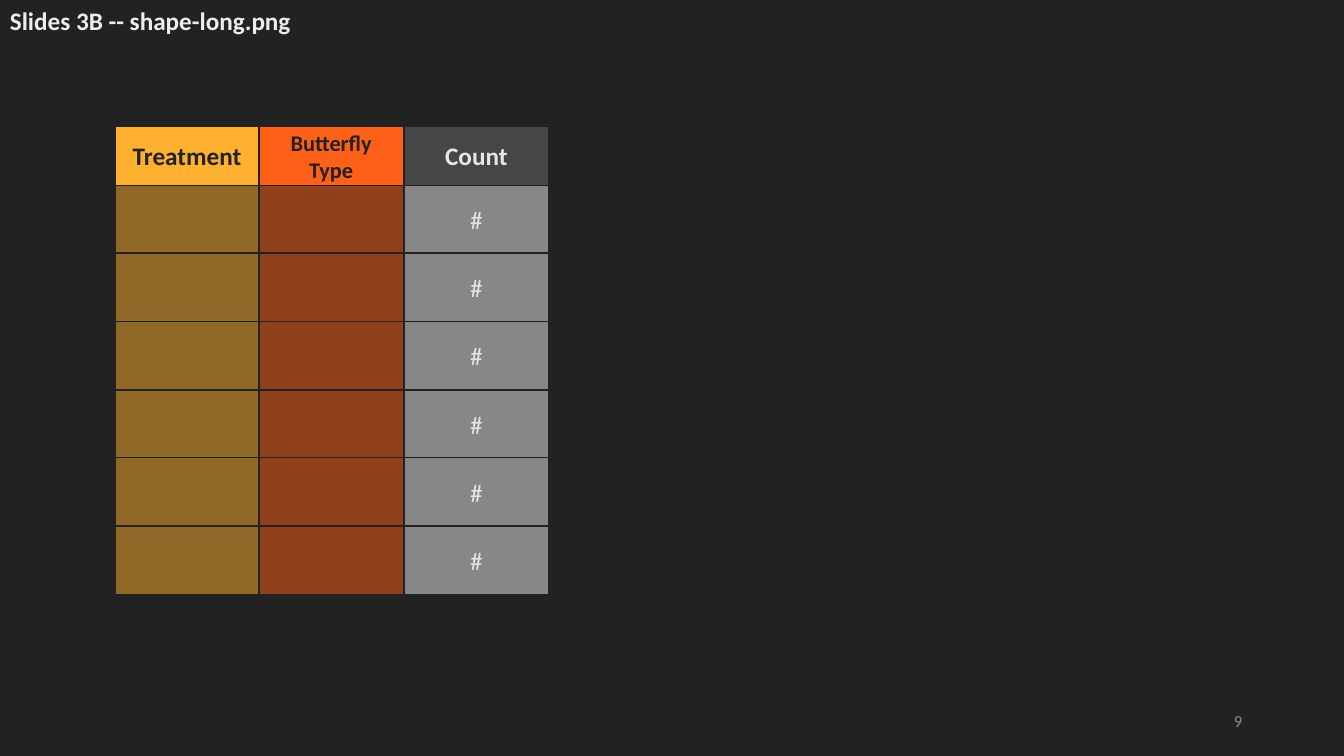
from lxml import etree
from pptx import Presentation
from pptx import util as u
from pptx.dml.color import RGBColor
from pptx.enum import shapes, text
from pptx.oxml.ns import qn

PX = 9144  # EMU per px, 100 px to the inch
FONT = "Calibri"
COLORS = {
    "dark": "222222",
    "title": "EBEEEE",
    "number": "8C8C8C",
    "amber": "FFB02F",
    "orange": "FF6018",
    "gray": "464646",
    "pale": "EBEEEE",
    "light": "E6E6E6",
}

# Grid of the table
LEFT, TOP, COL_W = 114, 125, 143
HEAD_H, ROW_H = 59, 68
ROWS, ROWS_H = 6, 406

# Heading, size, text colour, heading fill, cell fill, cell text
COLUMNS = [
    ("Treatment", 18, "dark", "amber", "amber", ""),
    ("Butterfly Type", 16, "dark", "orange", "orange", ""),
    ("Count", 18, "light", "gray", "pale", "#"),
]


def rgb(name):
    return RGBColor.from_string(COLORS[name])


def box(px):
    return [u.Emu(v * PX) for v in px]


def set_text(tf, words, size, color, bold=False, align=None):
    tf.word_wrap = True
    tf.text = words
    p = tf.paragraphs[0]
    p.alignment = align
    for r in p.runs:
        r.font.name = FONT
        r.font.size = u.Pt(size)
        r.font.bold = bold
        r.font.color.rgb = rgb(color)


def add_label(s, px, words, size, color, **style):
    tf = s.shapes.add_textbox(*box(px)).text_frame
    set_text(tf, words, size, color, **style)
    return tf


def add_cell(group, px, fill, words="", size=18, color="light",
             bold=False, alpha=None):
    sp = group.shapes.add_shape(shapes.MSO_SHAPE.RECTANGLE, *box(px))
    sp.shadow.inherit = False
    sp.fill.solid()
    sp.fill.fore_color.rgb = rgb(fill)
    if alpha is not None:
        clr = sp.fill._xPr.find(qn("a:solidFill"))[0]
        etree.SubElement(clr, qn("a:alpha"), val=str(alpha * 1000))
    sp.line.color.rgb = rgb("dark")
    sp.line.width = u.Pt(1)
    if words:
        tf = sp.text_frame
        tf.vertical_anchor = text.MSO_ANCHOR.MIDDLE
        set_text(tf, words, size, color, bold, text.PP_ALIGN.CENTER)


def add_column(s, index, heading, size, color, head_fill, cell_fill, words):
    group = s.shapes.add_group_shape()
    x = LEFT + index * 287 // 2
    add_cell(group, (x, TOP, COL_W, HEAD_H), head_fill, heading, size, color,
             bold=True)
    for row in range(ROWS):
        y = TOP + HEAD_H + row * ROWS_H // ROWS
        add_cell(group, (x, y, COL_W, ROW_H), cell_fill, words, alpha=50)


def main():
    prs = Presentation()
    prs.slide_width, prs.slide_height = box((1333, 750))
    s = prs.slides.add_slide(prs.slide_layouts[6])
    s.background.fill.solid()
    s.background.fill.fore_color.rgb = rgb("dark")

    # Slide number and title
    tf = add_label(s, (942, 695, 300, 40), "9", 12, "number",
                   align=text.PP_ALIGN.RIGHT)
    tf.vertical_anchor = text.MSO_ANCHOR.MIDDLE
    tf = add_label(s, (0, 0, 628, 40), "Slides 3B -- shape-long.png", 18,
                   "title", bold=True)
    tf.auto_size = text.MSO_AUTO_SIZE.SHAPE_TO_FIT_TEXT

    # Long-format table
    for index, column in enumerate(COLUMNS):
        add_column(s, index, *column)

    prs.save("out.pptx")


if __name__ == "__main__":
    main()
